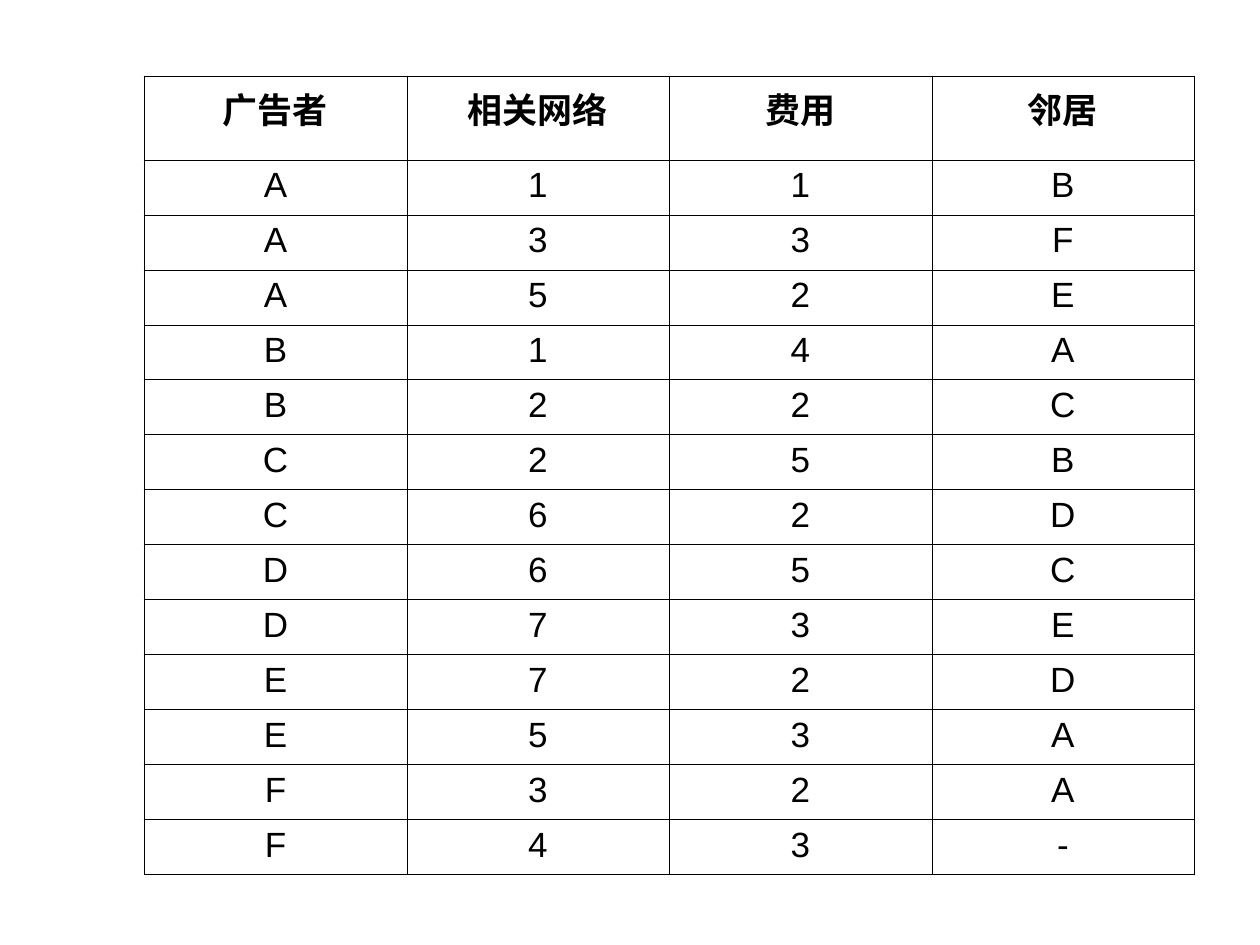
from dataclasses import dataclass

from lxml import etree
from pptx import Presentation
from pptx.dml.color import RGBColor
from pptx.enum.text import PP_ALIGN
from pptx.oxml.ns import qn
from pptx.table import Table, _Cell
from pptx.util import Emu, Pt

PX = 914400 // 126
CENTER = PP_ALIGN.CENTER
SIDES = ("a:lnL", "a:lnR", "a:lnT", "a:lnB")


@dataclass(frozen=True)
class Theme:
    ink: str = "000000"
    size: int = 20
    rule: float = 0.45


@dataclass(frozen=True)
class Style:
    font: str
    bold: bool


@dataclass(frozen=True)
class Grid:
    left: int
    top: int
    cols: tuple[int, ...]
    head: int
    row: int


THEME = Theme()
HEAD = Style("Noto Sans CJK SC", True)
BODY = Style("Arial", False)
GRID = Grid(left=144, top=76, cols=(263, 262, 263, 262), head=84, row=55)
TITLES = ("广告者", "相关网络", "费用", "邻居")
LINKS = (
    "A11B", "A33F", "A52E", "B14A", "B22C", "C25B", "C62D",
    "D65C", "D73E", "E72D", "E53A", "F32A", "F43-",
)


def px(count: int) -> Emu:
    return Emu(count * PX)


def rule_cell(cell: _Cell) -> None:
    props = cell._tc.get_or_add_tcPr()
    for side in SIDES:
        line = etree.SubElement(props, qn(side), w=str(int(Pt(THEME.rule))))
        fill = etree.SubElement(line, qn("a:solidFill"))
        etree.SubElement(fill, qn("a:srgbClr"), val=THEME.ink)


def fill_cell(cell: _Cell, text: str, style: Style) -> None:
    rule_cell(cell)
    cell.fill.background()
    cell.text = text
    para = cell.text_frame.paragraphs[0]
    para.alignment = CENTER
    font = para.font
    font.size = Pt(THEME.size)
    font.bold = style.bold
    font.color.rgb = RGBColor.from_string(THEME.ink)
    font.name = style.font
    props = para._p.get_or_add_pPr().get_or_add_defRPr()
    etree.SubElement(props, qn("a:ea"), typeface=style.font)


def fill_row(table: Table, index: int, texts: tuple[str, ...], style: Style) -> None:
    for cell, text in zip(table.rows[index].cells, texts):
        fill_cell(cell, text, style)


def draw_table(slide, grid: Grid) -> None:
    heights = (grid.head,) + (grid.row,) * len(LINKS)
    frame = slide.shapes.add_table(
        len(heights), len(grid.cols), px(grid.left), px(grid.top),
        px(sum(grid.cols)), px(sum(heights)),
    )
    table = frame.table
    table.first_row = False
    table.horz_banding = False
    for col, width in zip(table.columns, grid.cols):
        col.width = px(width)
    for row, height in zip(table.rows, heights):
        row.height = px(height)
    fill_row(table, 0, TITLES, HEAD)
    for index, link in enumerate(LINKS, 1):
        fill_row(table, index, tuple(link), BODY)


def main() -> None:
    deck = Presentation()
    deck.slide_width = px(1260)
    deck.slide_height = px(945)
    slide = deck.slides.add_slide(deck.slide_layouts[6])
    draw_table(slide, GRID)
    deck.save("out.pptx")


if __name__ == "__main__":
    main()
